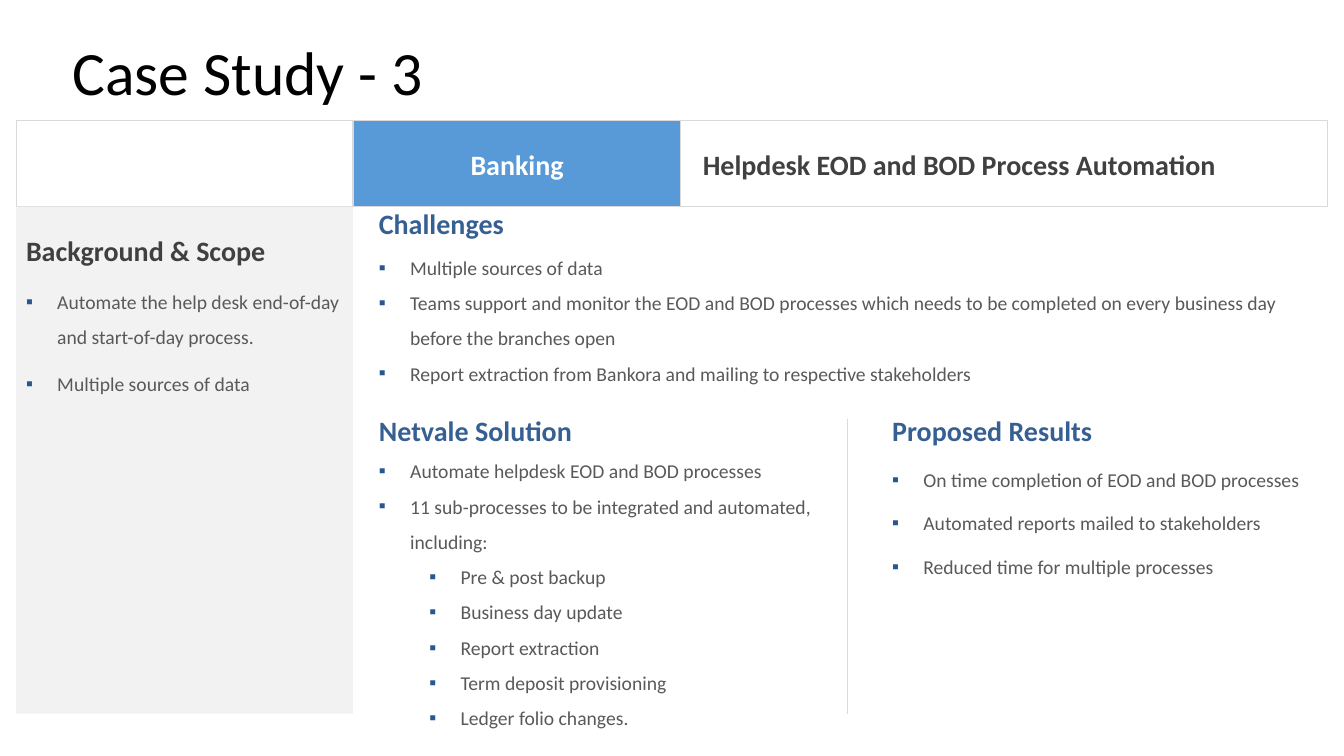
from lxml import etree
from pptx import Presentation
from pptx.dml.color import RGBColor
from pptx.enum.shapes import MSO_CONNECTOR, MSO_SHAPE
from pptx.enum.text import MSO_ANCHOR, PP_ALIGN
from pptx.oxml.ns import qn
from pptx.util import Pt

RECT = MSO_SHAPE.RECTANGLE
LINE = MSO_CONNECTOR.STRAIGHT
TOP, MID = MSO_ANCHOR.TOP, MSO_ANCHOR.MIDDLE
LEFT, CENTER = PP_ALIGN.LEFT, PP_ALIGN.CENTER
PX = 9144
FONT = "Calibri"
COLORS = {
    "black": "000000", "white": "FFFFFF", "blue": "589AD7", "navy": "376092",
    "mark": "275791", "dark": "404040", "text": "595959", "rule": "D9D9D9",
    "pale": "F2F2F2",
}

TITLE = "Case Study - 3"
HEAD = [
    (16, 334, "", None, "dark", LEFT, 10),
    (351, 324, "Banking", "blue", "white", CENTER, 10),
    (675, 642, "Helpdesk EOD and BOD Process Automation", None, "dark", LEFT, 22),
]
SCOPE = ("Background & Scope", [
    ("Automate the help desk end-of-day and start-of-day process.", 0),
    ("Multiple sources of data", 0),
])
PANELS = [
    ((366, 208, 950, 181), 0.75, 3, 0, "Challenges", [
        ("Multiple sources of data", 0),
        ("Teams support and monitor the EOD and BOD processes which needs to be "
         "completed on every business day before the branches open", 0),
        ("Report extraction from Bankora and mailing to respective stakeholders", 0),
    ]),
    ((366, 389, 475, 339), 1.5, 0, 0, "Netvale Solution", [
        ("Automate helpdesk EOD and BOD processes", 0),
        ("11 sub-processes to be integrated and automated, including:", 0),
        ("Pre & post backup", 1),
        ("Business day update", 1),
        ("Report extraction", 1),
        ("Term deposit provisioning", 1),
        ("Ledger folio changes.", 1),
    ]),
    ((875, 389, 458, 339), 1.5, 3, 3, "Proposed Results", [
        ("On time completion of EOD and BOD processes", 0),
        ("Automated reports mailed to stakeholders", 0),
        ("Reduced time for multiple processes", 0),
    ]),
]


def color(name):
    return RGBColor.from_string(COLORS[name])


def frame(shape, anchor=TOP, left=10, top=5):
    body = shape.text_frame
    body.word_wrap = True
    body.vertical_anchor = anchor
    body.margin_left, body.margin_right = left * PX, 10 * PX
    body.margin_top, body.margin_bottom = top * PX, 5 * PX
    return body


def write(para, text, size, tone, bold=False, align=LEFT, lead=1.0, gap=(0, 0)):
    para.alignment = align
    para.line_spacing = lead
    para.space_before, para.space_after = Pt(gap[0]), Pt(gap[1])
    run = para.add_run()
    run.text = text
    font = run.font
    font.name, font.size, font.bold = FONT, Pt(size), bold
    font.color.rgb = color(tone)


def bullet(para, depth):
    props = para._p.get_or_add_pPr()
    props.set("marL", str((31 + 50 * depth) * PX))
    props.set("indent", str(-31 * PX))
    tint = etree.SubElement(props, qn("a:buClr"))
    etree.SubElement(tint, qn("a:srgbClr")).set("val", COLORS["mark"])
    etree.SubElement(props, qn("a:buFont")).set("typeface", FONT)
    etree.SubElement(props, qn("a:buChar")).set("char", "▪")


def fill_list(body, head, items, tone, lead, after, gap):
    write(body.paragraphs[0], head, 20, tone, True, lead=lead, gap=(0, after))
    for text, depth in items:
        para = body.add_paragraph()
        bullet(para, depth)
        write(para, text, 14, "text", lead=1.5, gap=(gap, gap))


def add_rect(shapes, box, fill, edge):
    rect = shapes.add_shape(RECT, *[n * PX for n in box])
    rect.shadow.inherit = False
    if fill:
        rect.fill.solid()
        rect.fill.fore_color.rgb = color(fill)
    else:
        rect.fill.background()
    if edge:
        rect.line.color.rgb = color(edge)
        rect.line.width = Pt(0.75)
    else:
        rect.line.fill.background()
    return rect


def add_text(shapes, box):
    return shapes.add_textbox(*[n * PX for n in box])


def main():
    deck = Presentation()
    deck.slide_width, deck.slide_height = 1333 * PX, 750 * PX
    shapes = deck.slides.add_slide(deck.slide_layouts[6]).shapes

    body = frame(add_text(shapes, (62, 35, 1150, 80)), MID)
    write(body.paragraphs[0], TITLE, 44, "black", lead=0.9)

    for left, width, text, fill, tone, align, inset in HEAD:
        cell = add_rect(shapes, (left, 120, width, 85), fill, "rule")
        if text:
            body = frame(cell, MID, inset)
            write(body.paragraphs[0], text, 20, tone, True, align)

    side = add_rect(shapes, (16, 205, 334, 503), "pale", None)
    fill_list(frame(side, top=10), *SCOPE, "dark", 1.5, 4, 4)

    for box, lead, after, gap, head, items in PANELS:
        body = frame(add_text(shapes, box))
        fill_list(body, head, items, "navy", lead, after, gap)

    rule = shapes.add_connector(LINE, 841 * PX, 416 * PX, 841 * PX, 708 * PX)
    rule.line.color.rgb = color("rule")
    rule.line.width = Pt(0.75)
    etree.SubElement(rule._element.spPr, qn("a:effectLst"))

    deck.save("out.pptx")


if __name__ == "__main__":
    main()
